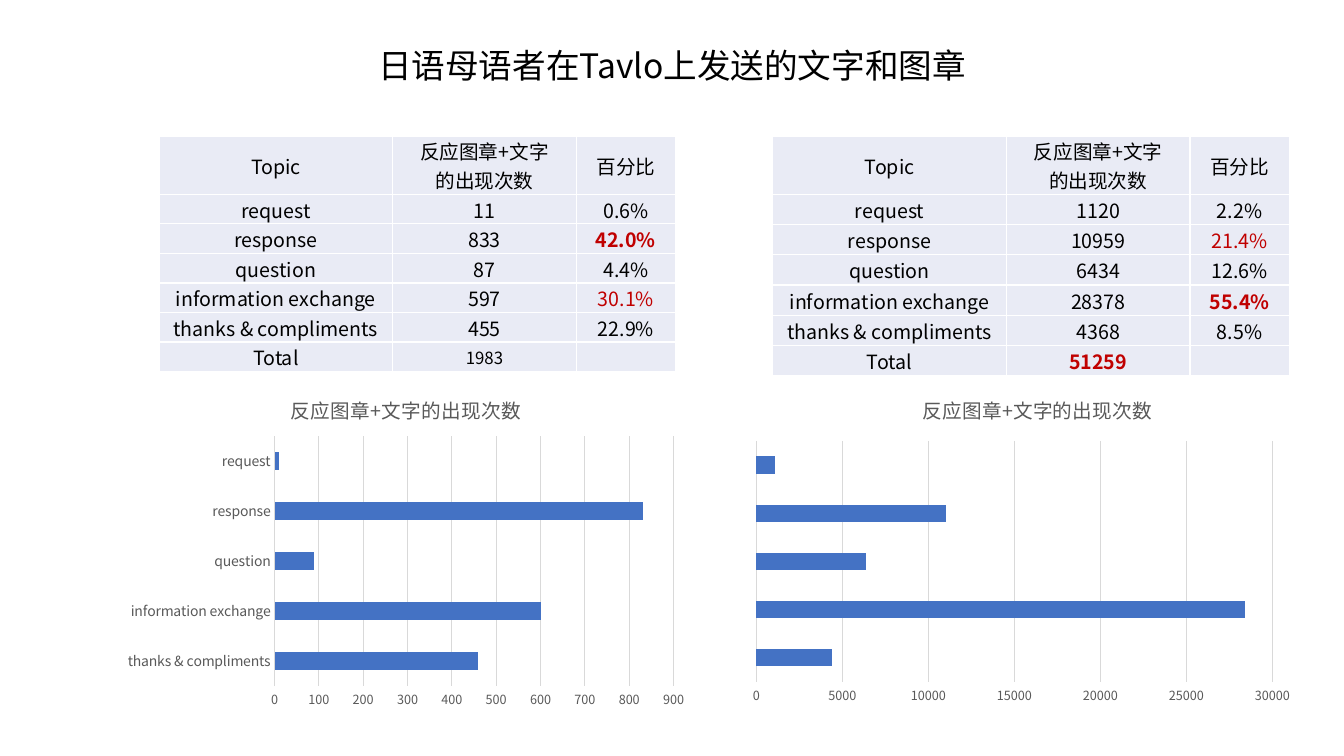
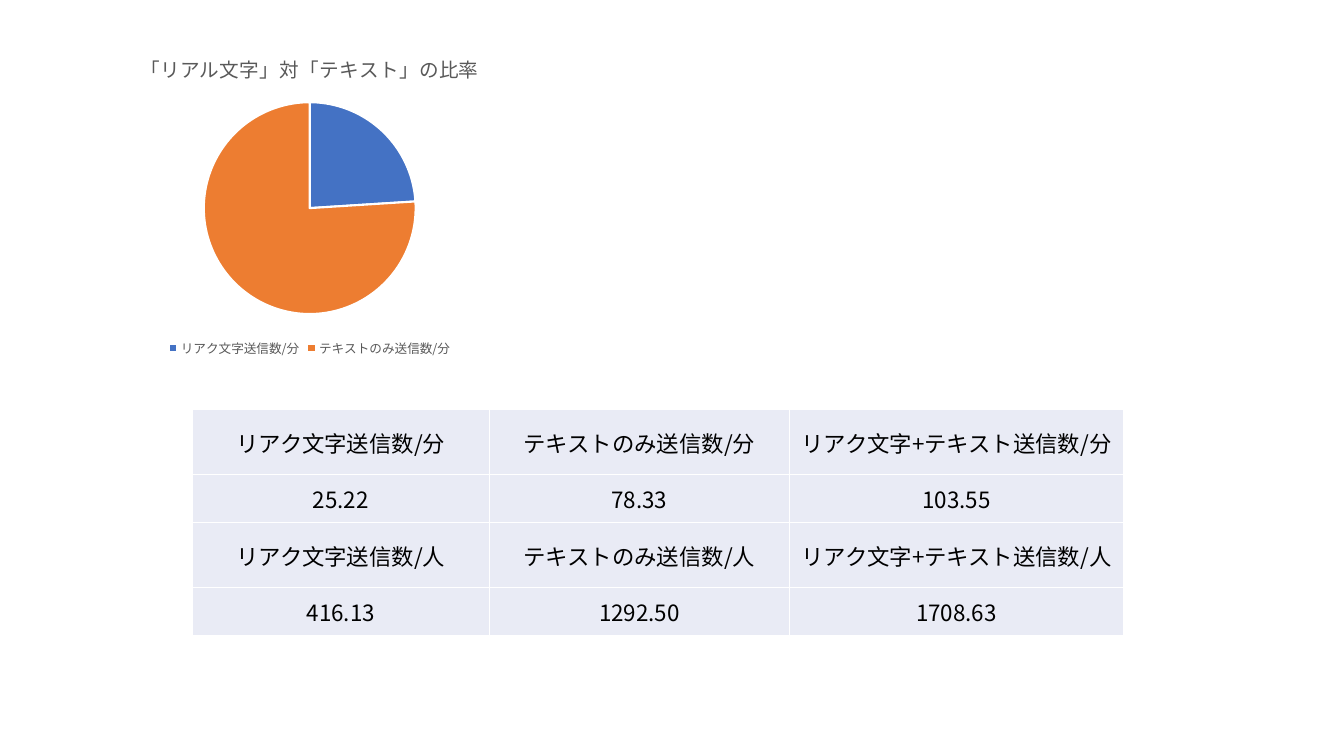
import lxml.etree
import pptx
import pptx.chart.data
import pptx.dml.color
import pptx.enum.chart
import pptx.enum.text
import pptx.oxml.ns
import pptx.util

Pt = pptx.util.Pt
RGBColor = pptx.dml.color.RGBColor
qn = pptx.oxml.ns.qn
ALIGN = pptx.enum.text.PP_ALIGN
ANCHOR = pptx.enum.text.MSO_ANCHOR
CHART = pptx.enum.chart.XL_CHART_TYPE
NO_TICK = pptx.enum.chart.XL_TICK_MARK.NONE

BLACK = RGBColor(0x00, 0x00, 0x00)
WHITE = RGBColor(0xFF, 0xFF, 0xFF)
RED = RGBColor(0xC0, 0x00, 0x00)
GRAY = RGBColor(0x59, 0x59, 0x59)
GRID = RGBColor(0xD9, 0xD9, 0xD9)
CELL = RGBColor(0xE9, 0xEB, 0xF5)
BLUE = RGBColor(0x44, 0x72, 0xC4)
ORANGE = RGBColor(0xED, 0x7D, 0x31)

TITLE_FONT = "Noto Sans CJK SC"
BODY_FONT = "Noto Sans CJK JP"

COUNT_TITLE = "反应图章+文字的出现次数"
TOPIC_HEADER = ("Topic", "反应图章+文字\n的出现次数", "百分比")
TOPICS = ("request", "response", "question", "information exchange", "thanks & compliments")
TOPIC_COLUMNS = (167, 131, 71)

STAMP_COUNTS = (11, 833, 87, 597, 455)
STAMP_SHARES = ("0.6%", "42.0%", "4.4%", "30.1%", "22.9%")
TEXT_COUNTS = (1120, 10959, 6434, 28378, 4368)
TEXT_SHARES = ("2.2%", "21.4%", "12.6%", "55.4%", "8.5%")

RATE_ROWS = (
    ("リアク文字送信数/分", "テキストのみ送信数/分", "リアク文字+テキスト送信数/分"),
    ("25.22", "78.33", "103.55"),
    ("リアク文字送信数/人", "テキストのみ送信数/人", "リアク文字+テキスト送信数/人"),
    ("416.13", "1292.50", "1708.63"),
)
RATE_PERCENTS = (24, 76)


def set_font(font, size=10, color=BLACK, bold=False, family=BODY_FONT):
    font.size = Pt(size)
    font.bold = bold
    font.color.rgb = color
    font.name = family
    east_asian = lxml.etree.SubElement(font._rPr, qn("a:ea"))
    east_asian.set("typeface", family)


def write_text(frame, text, spacing=None, **style):
    """Fill a text frame with centred paragraphs, one for each line."""
    for index, line in enumerate(text.split("\n")):
        para = frame.add_paragraph() if index else frame.paragraphs[0]
        para.alignment = ALIGN.CENTER
        if spacing:
            para.line_spacing = spacing
        if line:
            span = para.add_run()
            span.text = line
            set_font(span.font, **style)
        else:
            end = lxml.etree.SubElement(para._p, qn("a:endParaRPr"))
            end.set("sz", str(style["size"] * 100))


def add_borders(cell, color=WHITE, width=1):
    properties = cell._tc.get_or_add_tcPr()
    for side in ("lnL", "lnR", "lnT", "lnB"):
        line = lxml.etree.SubElement(properties, qn("a:" + side), w=str(Pt(width)))
        fill = lxml.etree.SubElement(line, qn("a:solidFill"))
        lxml.etree.SubElement(fill, qn("a:srgbClr"), val=str(color))


def add_grid(page, left, top, rows, columns, heights, size, accents=None):
    """Add a table; accents maps (row, column) to a text format."""
    accents = accents or {}
    shape = page.shapes.add_table(len(rows), len(columns), Pt(left), Pt(top),
                                  Pt(sum(columns)), Pt(sum(heights)))
    table = shape.table
    table.first_row = table.horz_banding = False
    for column, width in zip(table.columns, columns):
        column.width = Pt(width)
    for row_index, (row, height) in enumerate(zip(rows, heights)):
        table.rows[row_index].height = Pt(height)
        for column_index, text in enumerate(row):
            cell = table.cell(row_index, column_index)
            cell.margin_left = cell.margin_right = cell.margin_top = Pt(0.7)
            cell.margin_bottom = 0
            cell.vertical_anchor = ANCHOR.MIDDLE
            add_borders(cell)
            cell.fill.solid()
            cell.fill.fore_color.rgb = CELL
            style = {"size": size} | accents.get((row_index, column_index), {})
            write_text(cell.text_frame, text, **style)


def place_part(part, inner=False, **place):
    """Give a chart title or plot area a place, in fractions of the chart."""
    layout = part.find(qn("c:layout"))
    if layout is None:
        layout = lxml.etree.Element(qn("c:layout"))
        part.insert(len(part.findall(qn("c:tx"))), layout)
    manual = lxml.etree.SubElement(layout, qn("c:manualLayout"))
    if inner:
        lxml.etree.SubElement(manual, qn("c:layoutTarget"), val="inner")
    for key in ("x", "y"):
        lxml.etree.SubElement(manual, qn(f"c:{key}Mode"), val="edge")
    for key, value in place.items():
        lxml.etree.SubElement(manual, qn("c:" + key), val=str(value))


def add_titled_chart(page, box, kind, title, categories, values):
    data = pptx.chart.data.CategoryChartData()
    data.categories = categories
    data.add_series("Series 1", values)
    chart = page.shapes.add_chart(kind, *map(Pt, box), data).chart
    set_font(chart.font)
    chart.has_title = True
    write_text(chart.chart_title.text_frame, title, size=14, color=GRAY)
    chart.has_legend = False
    return chart


def add_count_chart(page, box, counts, digits, show_topics=True):
    """Add a bar chart of the counts, rounded to the given digits."""
    values = [round(count, digits) for count in reversed(counts)]
    chart = add_titled_chart(page, box, CHART.BAR_CLUSTERED, COUNT_TITLE, TOPICS[::-1], values)
    plot = chart.plots[0]
    plot.gap_width = 182
    plot.vary_by_categories = False
    bars = plot.series[0].format.fill
    bars.solid()
    bars.fore_color.rgb = BLUE

    topic_axis, count_axis = chart.category_axis, chart.value_axis
    for axis, size in ((topic_axis, 10), (count_axis, 9)):
        axis.major_tick_mark = axis.minor_tick_mark = NO_TICK
        set_font(axis.tick_labels.font, size=size, color=GRAY)
    topic_axis.visible = show_topics
    count_axis.format.line.fill.background()
    for line in (topic_axis.format.line, count_axis.major_gridlines.format.line):
        line.color.rgb = GRID
        line.width = Pt(0.75)
    return chart


def add_ratio_chart(page, box):
    chart = add_titled_chart(page, box, CHART.PIE, "「リアル文字」対「テキスト」の比率",
                             RATE_ROWS[0][:2], RATE_PERCENTS)
    chart.has_legend = True
    chart.legend.position = pptx.enum.chart.XL_LEGEND_POSITION.BOTTOM
    chart.legend.include_in_layout = False
    set_font(chart.legend.font, size=9, color=GRAY)
    for index, color in enumerate((BLUE, ORANGE)):
        part = chart.plots[0].series[0].points[index].format
        part.fill.solid()
        part.fill.fore_color.rgb = color
        part.line.color.rgb = WHITE
        part.line.width = Pt(1.5)


def add_topic_table(page, left, counts, shares, row_height, accents):
    rows = [TOPIC_HEADER]
    rows += [(topic, str(count), share) for topic, count, share in zip(TOPICS, counts, shares)]
    rows.append(("Total", str(sum(counts)), ""))
    heights = [40] + [row_height] * (len(rows) - 1)
    add_grid(page, left, 97.2, rows, TOPIC_COLUMNS, heights, 14, accents)


def set_title(page, text):
    title = page.shapes.title
    title.left, title.top, title.width, title.height = Pt(66), Pt(29), Pt(828), Pt(38)
    title.text_frame.word_wrap = True
    title.text_frame.vertical_anchor = ANCHOR.MIDDLE
    write_text(title.text_frame, text, spacing=0.9, size=24, family=TITLE_FONT)


def build_topic_page(deck):
    page = deck.slides.add_slide(deck.slide_layouts[5])
    set_title(page, "日语母语者在Tavlo上发送的文字和图章")
    red, strong = {"color": RED}, {"color": RED, "bold": True}
    add_topic_table(page, 552, TEXT_COUNTS, TEXT_SHARES, 21.6,
                    {(2, 2): red, (4, 2): strong, (6, 1): strong})
    add_topic_table(page, 113.6, STAMP_COUNTS, STAMP_SHARES, 20.2,
                    {(2, 2): strong, (4, 2): red, (6, 1): {"size": 12}})
    add_count_chart(page, (83, 269.5, 414, 241), STAMP_COUNTS, -1)
    chart = add_count_chart(page, (515.5, 244.5, 414, 282), TEXT_COUNTS, -2, show_topics=False)
    place_part(chart.chart_title._element, x=0.34, y=0.12)
    place_part(chart._chartSpace.chart.plotArea, inner=True, x=0.06, y=0.25, w=0.89, h=0.61)


def build_ratio_page(deck):
    page = deck.slides.add_slide(deck.slide_layouts[6])
    add_ratio_chart(page, (20, 26, 402.5, 232))
    add_grid(page, 137.5, 292.2, RATE_ROWS, (212, 214.5, 238.5), [34] * len(RATE_ROWS), 16)


def main():
    deck = pptx.Presentation()
    deck.slide_width, deck.slide_height = Pt(960), Pt(540)
    build_topic_page(deck)
    build_ratio_page(deck)
    deck.save("out.pptx")


if __name__ == "__main__":
    main()
